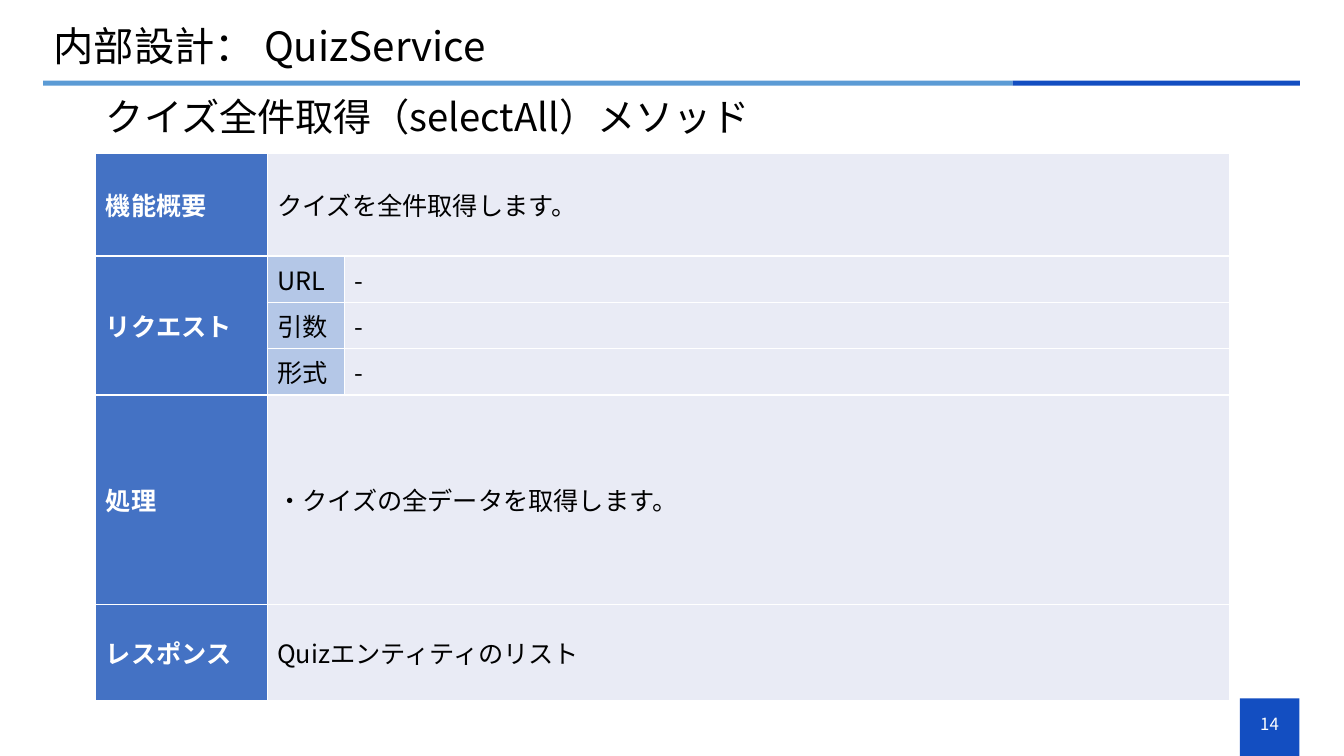
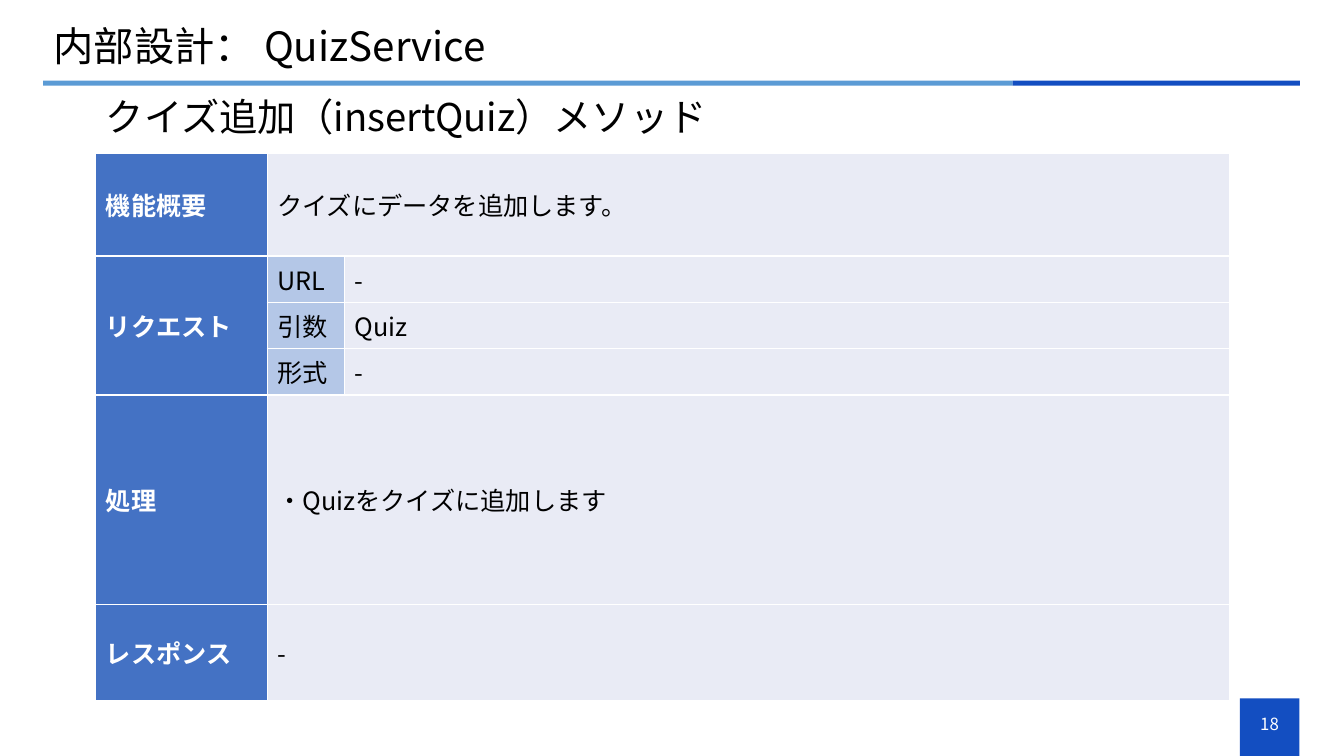
"""Build the QuizService method design slides."""
from dataclasses import dataclass

from lxml import etree
from pptx import Presentation
from pptx.dml.color import RGBColor
from pptx.enum.shapes import MSO_SHAPE
from pptx.enum.text import MSO_ANCHOR, MSO_AUTO_SIZE, PP_ALIGN
from pptx.oxml.ns import qn
from pptx.util import Inches, Pt

RECT = MSO_SHAPE.RECTANGLE
MIDDLE = MSO_ANCHOR.MIDDLE
NO_FIT = MSO_AUTO_SIZE.NONE
LEFT, CENTER = PP_ALIGN.LEFT, PP_ALIGN.CENTER

SLIDE_W, SLIDE_H = Inches(13.33), Inches(7.5)
FONT = "Noto Sans CJK JP"
BLACK, WHITE = "000000", "FFFFFF"
NAVY, SKY = "134EC1", "5B9BD5"
HEAD, SUBHEAD, CELL = "4472C4", "B4C7E7", "E9EBF5"
TITLE = "内部設計： QuizService"
COLS = (12.75, 5.78, 65.85)
ROWS = (13.6, 6.13, 6.13, 6.13, 27.73, 12.67)


@dataclass(frozen=True)
class Box:
    """A rectangle in percent of the slide's size."""
    left: float
    top: float
    width: float
    height: float

    def emu(self) -> tuple[int, int, int, int]:
        """Return left, top, width and height as lengths."""
        return (share_w(self.left), share_h(self.top),
                share_w(self.width), share_h(self.height))


@dataclass(frozen=True)
class Band:
    """A filled rectangle shared by the slides."""
    box: Box
    color: str


@dataclass(frozen=True)
class Method:
    """The content of one method slide."""
    number: int
    heading: str
    summary: str
    argument: str
    process: str
    response: str


BANDS = (
    Band(Box(92.25, 92.4, 4.43, 7.6), NAVY),
    Band(Box(3.22, 10.67, 72.13, 0.67), SKY),
    Band(Box(75.35, 10.67, 21.37, 0.67), NAVY),
)
TITLE_BOX = Box(3.22, 2.8, 93.45, 7.33)
HEADING_BOX = Box(7.13, 12.13, 89.6, 7.33)
NUMBER_BOX = Box(92.25, 93.07, 4.43, 5.33)
TABLE_BOX = Box(7.13, 20.27, sum(COLS), sum(ROWS))

METHODS = (
    Method(14, "クイズ全件取得（selectAll）メソッド", "クイズを全件取得します。",
           "-", "・クイズの全データを取得します。", "Quizエンティティのリスト"),
    Method(18, "クイズ追加（insertQuiz）メソッド", "クイズにデータを追加します。",
           "Quiz", "・Quizをクイズに追加します", "-"),
)


def share_w(percent: float) -> int:
    """Return a share of the slide's width."""
    return round(SLIDE_W * percent / 100)


def share_h(percent: float) -> int:
    """Return a share of the slide's height."""
    return round(SLIDE_H * percent / 100)


def rgb(color: str) -> RGBColor:
    """Turn a hex string into a colour."""
    return RGBColor.from_string(color)


def set_text(tf, text: str, size: float, color: str = BLACK,
             bold: bool = False, align=LEFT) -> None:
    """Fill a text frame with one formatted paragraph."""
    tf.text = text
    p = tf.paragraphs[0]
    p.alignment = align
    for r in p.runs:
        r.font.name, r.font.size, r.font.bold = FONT, Pt(size), bold
        r.font.color.rgb = rgb(color)
        etree.SubElement(r.font._element, qn("a:ea"), typeface=FONT)


def place_text(sp, box: Box, text: str, size: float) -> None:
    """Move a placeholder and give it one line without a bullet."""
    sp.left, sp.top, sp.width, sp.height = box.emu()
    tf = sp.text_frame
    set_text(tf, text, size)
    tf.auto_size, tf.vertical_anchor, tf.word_wrap = NO_FIT, MIDDLE, True
    p = tf.paragraphs[0]
    p.line_spacing, p.space_before = 0.9, Pt(0)
    pPr = p._p.get_or_add_pPr()
    pPr.set("marL", "0")
    pPr.set("indent", "0")
    etree.SubElement(pPr, qn("a:buNone"))


def add_band(s, band: Band) -> None:
    """Draw one filled band."""
    sp = s.shapes.add_shape(RECT, *band.box.emu())
    sp.shadow.inherit = False
    sp.fill.solid()
    sp.fill.fore_color.rgb = rgb(band.color)
    sp.line.fill.background()


def add_number(s, number: int) -> None:
    """Write the page number on the corner band."""
    tf = s.shapes.add_textbox(*NUMBER_BOX.emu()).text_frame
    tf.word_wrap, tf.vertical_anchor = True, MIDDLE
    set_text(tf, str(number), 12, WHITE, align=CENTER)


def style_cell(cell, fill: str) -> None:
    """Give a cell white borders, a fill and a middle anchor."""
    tcPr = cell._tc.get_or_add_tcPr()
    for side in ("lnL", "lnR", "lnT", "lnB"):
        ln = etree.SubElement(tcPr, qn(f"a:{side}"), w=str(Pt(1)))
        line_fill = etree.SubElement(ln, qn("a:solidFill"))
        etree.SubElement(line_fill, qn("a:srgbClr"), val=WHITE)
    cell.fill.solid()
    cell.fill.fore_color.rgb = rgb(fill)
    cell.vertical_anchor = MIDDLE


def add_method_table(s, method: Method) -> None:
    """Draw the table that describes a method."""
    rows = (
        ("機能概要", method.summary, None),
        ("リクエスト", "URL", "-"),
        (None, "引数", method.argument),
        (None, "形式", "-"),
        ("処理", method.process, None),
        ("レスポンス", method.response, None),
    )
    frame = s.shapes.add_table(len(ROWS), len(COLS), *TABLE_BOX.emu())
    table = frame.table
    for col, width in zip(table.columns, COLS):
        col.width = share_w(width)
    for row, height in zip(table.rows, ROWS):
        row.height = share_h(height)
    for i, texts in enumerate(rows):
        fills = (HEAD, CELL if texts[2] is None else SUBHEAD, CELL)
        for j, (text, fill) in enumerate(zip(texts, fills)):
            cell = table.cell(i, j)
            style_cell(cell, fill)
            if text is not None:
                is_head = j == 0
                set_text(cell.text_frame, text, 18,
                         WHITE if is_head else BLACK, is_head)
        if texts[2] is None:
            table.cell(i, 1).merge(table.cell(i, 2))
    table.cell(1, 0).merge(table.cell(3, 0))


def add_method_slide(prs, method: Method) -> None:
    """Add the slide of one method."""
    s = prs.slides.add_slide(prs.slide_layouts[1])
    for band in BANDS:
        add_band(s, band)
    place_text(s.shapes.title, TITLE_BOX, TITLE, 28.8)
    place_text(s.placeholders[1], HEADING_BOX, method.heading, 27.3)
    add_number(s, method.number)
    add_method_table(s, method)


def main() -> None:
    """Build and save the presentation."""
    prs = Presentation()
    prs.slide_width, prs.slide_height = SLIDE_W, SLIDE_H
    for method in METHODS:
        add_method_slide(prs, method)
    prs.save("out.pptx")


if __name__ == "__main__":
    main()
